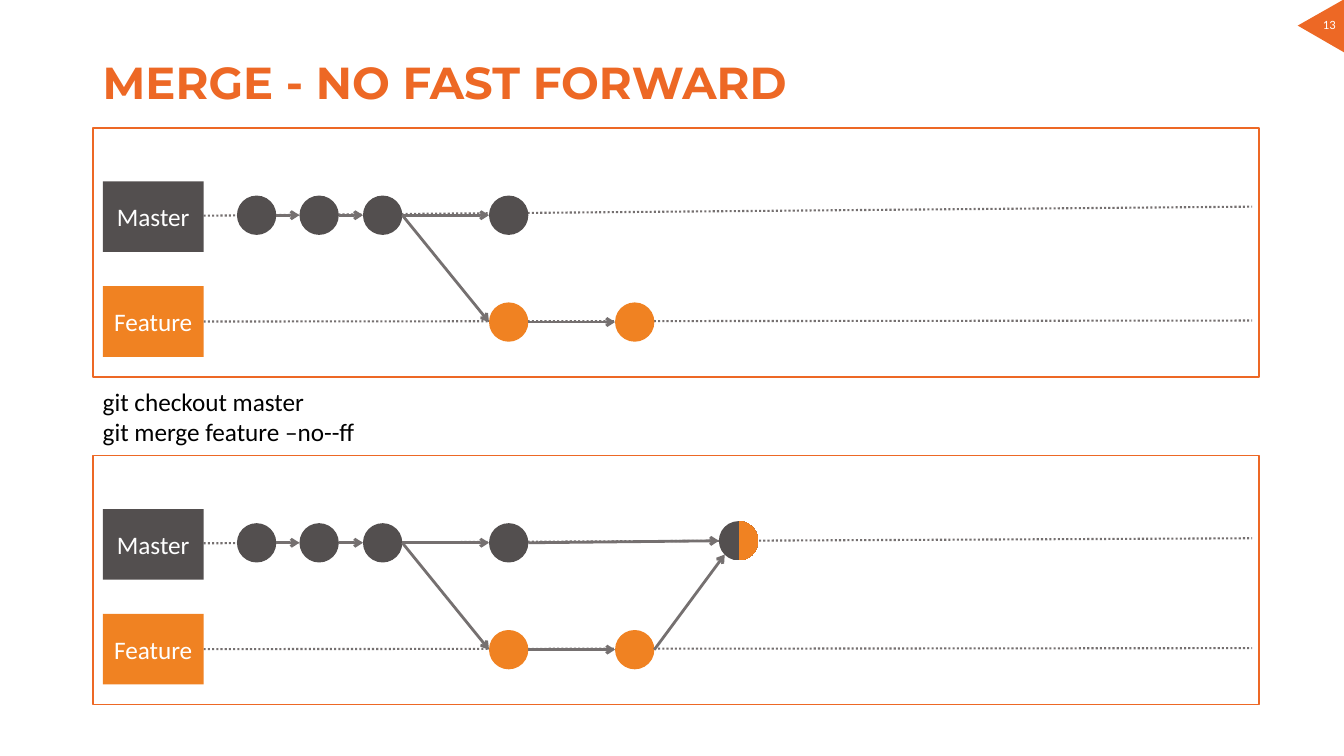
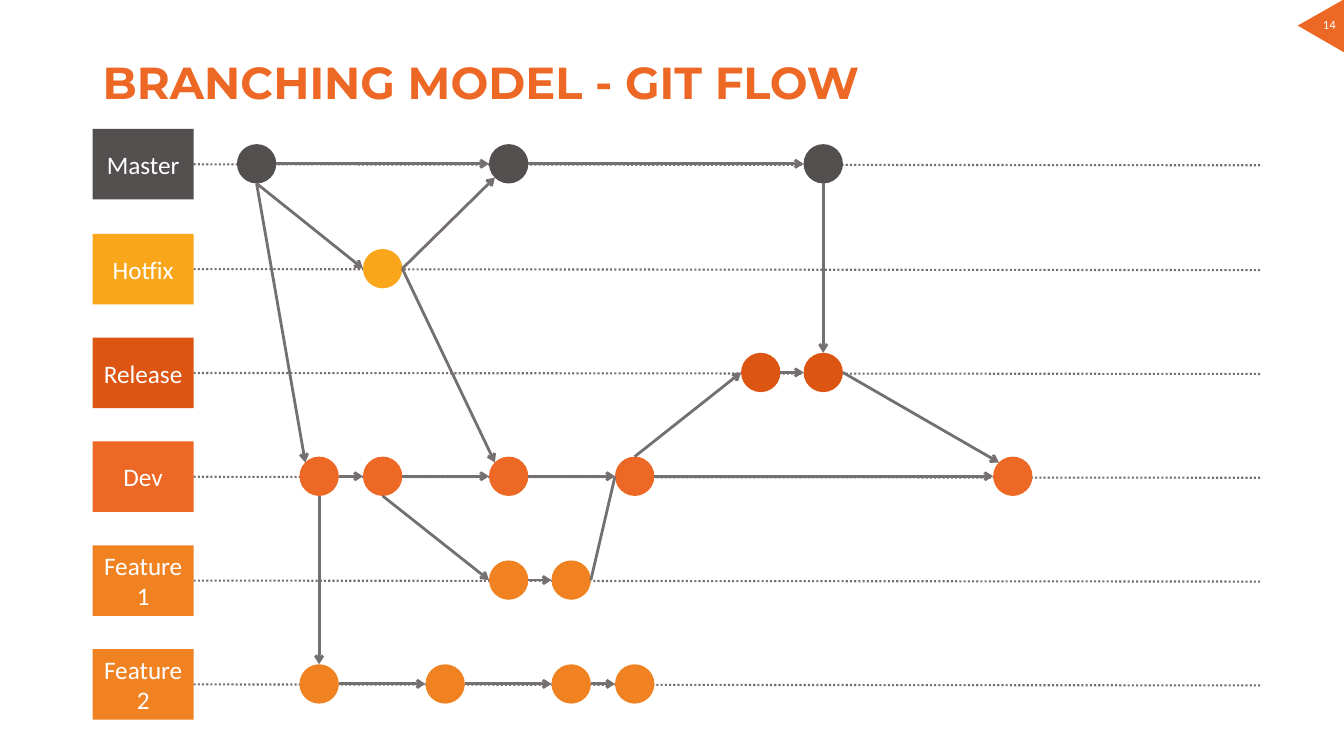
"""Build two slides that explain Git merging and the Git flow branching model."""
from dataclasses import dataclass
from math import ceil

from lxml.etree import SubElement
from pptx import Presentation
from pptx.dml.color import RGBColor
from pptx.enum.dml import MSO_LINE
from pptx.enum.shapes import MSO_CONNECTOR as CONNECTOR, MSO_SHAPE as SHAPE
from pptx.enum.text import MSO_ANCHOR as ANCHOR, PP_ALIGN as ALIGN
from pptx.oxml.ns import qn
from pptx.util import Pt

EMU_PER_PX = 9144
COMMIT_SIZE = 39
TAG_WIDTH, TAG_HEIGHT = 100, 70
SIDES = {
    "left": (0, 0.5), "right": (1, 0.5), "top": (0.5, 0), "bottom": (0.5, 1),
    "top_left": (0.15, 0.15), "bottom_left": (0.15, 0.85),
}


@dataclass(frozen=True)
class Theme:
    """Hold the colours, type styles and line styles."""
    accent = RGBColor.from_string("ED6825")
    master = RGBColor.from_string("534F4F")
    hotfix = RGBColor.from_string("FAA61A")
    release = RGBColor.from_string("DC5512")
    feature = RGBColor.from_string("F08222")
    link = RGBColor.from_string("757070")
    white = RGBColor.from_string("FFFFFF")
    black = RGBColor.from_string("000000")
    title = {"name": "Montserrat", "size": Pt(32), "bold": True}
    body = {"name": "Calibri", "size": Pt(18)}
    number = {"name": "Calibri", "size": Pt(9)}
    lane = {"width": Pt(1.5), "dash_style": MSO_LINE.ROUND_DOT}
    arrow = {"width": Pt(2)}
    frame = {"width": Pt(1.25)}


THEME = Theme()


def px(*lengths):
    """Turn pixel lengths into EMU."""
    return [round(length * EMU_PER_PX) for length in lengths]


def apply_format(target, values):
    """Set each format value on the target."""
    for name, value in values.items():
        setattr(target, name, value)


def write_text(shape, lines, style, colour, paragraph_format=None, anchor=ANCHOR.TOP):
    """Write one paragraph per line in one style."""
    frame = shape.text_frame
    apply_format(frame, {"word_wrap": True, "vertical_anchor": anchor})
    for index, line in enumerate(lines):
        paragraph = frame.add_paragraph() if index else frame.paragraphs[0]
        apply_format(paragraph, paragraph_format or {})
        run = paragraph.add_run()
        run.text = line
        apply_format(run.font, style)
        run.font.color.rgb = colour


def add_text(slide, box, lines, style, colour, **options):
    """Add a text box."""
    write_text(slide.shapes.add_textbox(*px(*box)), lines, style, colour, **options)


def add_block(slide, kind, box, fill):
    """Add a flat shape without an outline."""
    shape = slide.shapes.add_shape(kind, *px(*box))
    shape.shadow.inherit = False
    shape.line.fill.background()
    shape.fill.solid()
    shape.fill.fore_color.rgb = fill
    return shape


def add_frame(slide, box):
    """Add an outlined rectangle without a fill."""
    shape = slide.shapes.add_shape(SHAPE.RECTANGLE, *px(*box))
    shape.shadow.inherit = False
    shape.fill.background()
    shape.line.color.rgb = THEME.accent
    apply_format(shape.line, THEME.frame)


def add_tag(slide, left, top, name, fill):
    """Add the label of a branch."""
    shape = add_block(slide, SHAPE.RECTANGLE, (left, top, TAG_WIDTH, TAG_HEIGHT), fill)
    write_text(shape, [name], THEME.body, THEME.white,
               paragraph_format={"alignment": ALIGN.CENTER}, anchor=ANCHOR.MIDDLE)


def add_commit(slide, left, top, fill):
    """Add a commit circle."""
    return add_block(slide, SHAPE.OVAL, (left, top, COMMIT_SIZE, COMMIT_SIZE), fill)


def column_left(column):
    """Return the left edge of a commit column."""
    return 235 + 125 * column // 2


def split_fill(shape, left_colour, right_colour):
    """Fill the halves of a shape with two colours."""
    shape.fill.gradient()
    shape.fill.gradient_angle = 0
    stops = shape.element.spPr.find(".//" + qn("a:gsLst"))
    stops.clear()
    for percent, colour in ((0, left_colour), (50, left_colour),
                            (51, right_colour), (100, right_colour)):
        stop = SubElement(stops, qn("a:gs"), pos=str(percent * 1000))
        SubElement(stop, qn("a:srgbClr"), val=str(colour))


def add_line(slide, start, end, style, arrow=False):
    """Add a straight line between two points in EMU."""
    connector = slide.shapes.add_connector(CONNECTOR.STRAIGHT, *start, *end)
    connector.line.color.rgb = THEME.link
    apply_format(connector.line, style)
    properties = connector.element.spPr
    if arrow:
        SubElement(properties.find(qn("a:ln")), qn("a:tailEnd"), type="arrow")
    SubElement(properties, qn("a:effectLst"))


def add_lane(slide, start, end):
    """Add the dotted line of a branch."""
    add_line(slide, px(*start), px(*end), THEME.lane)


def side_point(shape, side):
    """Return the point on one side of a shape."""
    across, down = SIDES[side]
    return round(shape.left + across * shape.width), round(shape.top + down * shape.height)


def link(slide, start, end, start_side="right", end_side="left", arrow=True):
    """Join two commits."""
    add_line(slide, side_point(start, start_side), side_point(end, end_side), THEME.arrow, arrow)


def link_chain(slide, commits):
    """Join each commit to the next one."""
    for start, end in zip(commits, commits[1:]):
        link(slide, start, end)


def add_base(presentation, title, number):
    """Add a slide with its title and corner number."""
    slide = presentation.slides.add_slide(presentation.slide_layouts[6])
    corner = add_block(slide, SHAPE.ISOSCELES_TRIANGLE, (1295, -4, 54, 46), THEME.accent)
    corner.rotation = 30
    add_text(slide, (1285, 12, 67, 25), [str(number)], THEME.number, THEME.white,
             paragraph_format={"alignment": ALIGN.CENTER})
    add_text(slide, (92, 40, 1158, 88), [title], THEME.title, THEME.accent,
             paragraph_format={"line_spacing": 0.9}, anchor=ANCHOR.MIDDLE)
    return slide


def add_history(slide, top, master_rise):
    """Add a framed history with a master and a feature branch."""
    master_top, feature_top = top + 53, top + 157
    add_frame(slide, (92, top, 1157, 247))
    add_lane(slide, (202, master_top + 34), (1242, master_top + 34 - master_rise))
    add_lane(slide, (202, feature_top + 35), (1242, feature_top + 34))
    add_tag(slide, 102, master_top, "Master", THEME.master)
    add_tag(slide, 102, feature_top, "Feature", THEME.feature)
    master = [add_commit(slide, column_left(column), master_top + 14, THEME.master)
              for column in (0, 1, 2, 4)]
    feature = [add_commit(slide, column_left(column), feature_top + 16, THEME.feature)
               for column in (4, 6)]
    link_chain(slide, master)
    link_chain(slide, [master[2], *feature])
    return master[-1], feature[-1]


def build_merge(presentation, number):
    """Build the slide on merging without fast forward."""
    slide = add_base(presentation, "MERGE - NO FAST FORWARD", number)
    add_history(slide, 127, master_rise=9)
    add_text(slide, (92, 378, 575, 71), ["git checkout master", "git merge feature –no--ff"],
             THEME.body, THEME.black)
    last_master, last_feature = add_history(slide, 452, master_rise=5)
    merge = add_commit(slide, 713, 517, THEME.master)
    split_fill(merge, THEME.master, THEME.feature)
    link(slide, last_master, merge)
    link(slide, last_feature, merge, end_side="bottom_left")


def build_flow(presentation, number):
    """Build the slide on the Git flow model."""
    slide = add_base(presentation, "BRANCHING MODEL - GIT FLOW", number)
    branches = (
        ("Master", THEME.master, (0, 4, 9)),
        ("Hotfix", THEME.hotfix, (2,)),
        ("Release", THEME.release, (8, 9)),
        ("Dev", THEME.accent, (1, 2, 4, 6, 12)),
        ("Feature 1", THEME.feature, (4, 5)),
        ("Feature 2", THEME.feature, (1, 3, 5, 6)),
    )
    rows = []
    for index, (name, colour, columns) in enumerate(branches):
        top = 128 + ceil(103.2 * index)
        add_lane(slide, (192, top + 35), (1250, top + 36))
        add_tag(slide, 92, top, name, colour)
        rows.append([add_commit(slide, column_left(column), top + 15, colour)
                     for column in columns])
        link_chain(slide, rows[-1])
    master, hotfix, release, dev, feature_one, feature_two = rows
    for start, start_side, end, end_side in (
        (master[0], "bottom", hotfix[0], "left"),
        (master[0], "bottom", dev[0], "top_left"),
        (hotfix[0], "right", master[1], "bottom_left"),
        (hotfix[0], "right", dev[2], "top_left"),
        (master[2], "bottom", release[1], "top"),
        (dev[0], "bottom", feature_two[0], "top"),
        (dev[1], "bottom", feature_one[0], "left"),
        (dev[3], "top", release[0], "left"),
        (release[1], "right", dev[4], "top_left"),
    ):
        link(slide, start, end, start_side, end_side)
    link(slide, feature_one[1], dev[3], arrow=False)


def main():
    """Build and save the presentation."""
    presentation = Presentation()
    presentation.slide_width, presentation.slide_height = px(1333, 750)
    for number, build in enumerate((build_merge, build_flow), start=13):
        build(presentation, number)
    presentation.save("out.pptx")


if __name__ == "__main__":
    main()
